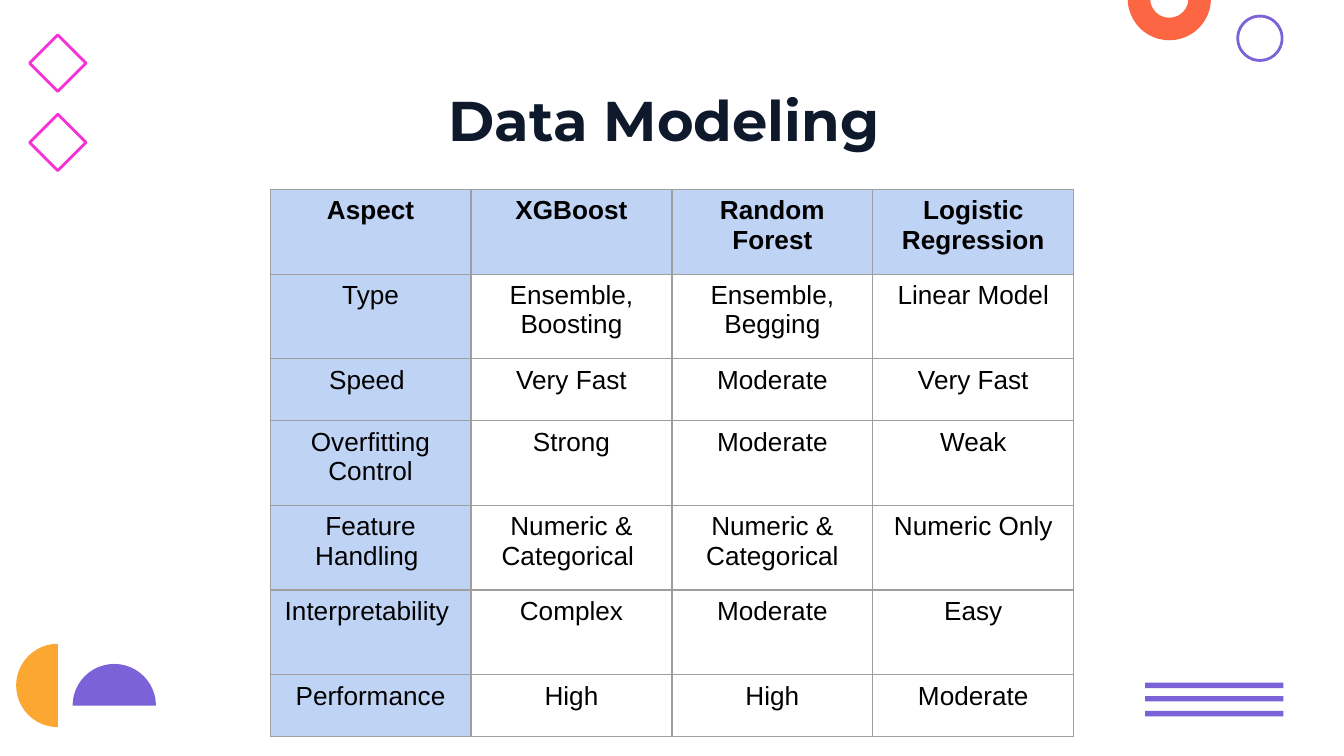
"""Build the Data Modeling slide comparing three models."""
from lxml import etree
from pptx import Presentation
from pptx.dml.color import RGBColor
from pptx.enum.shapes import MSO_SHAPE
from pptx.enum.text import MSO_ANCHOR, PP_ALIGN
from pptx.oxml.ns import qn
from pptx.util import Inches, Pt

CENTER = PP_ALIGN.CENTER
MIDDLE = MSO_ANCHOR.MIDDLE
CHORD, DIAMOND, DONUT = MSO_SHAPE.CHORD, MSO_SHAPE.DIAMOND, MSO_SHAPE.DONUT
OVAL, RECTANGLE = MSO_SHAPE.OVAL, MSO_SHAPE.RECTANGLE
COLORS = {
    "purple": "7B62D6", "amber": "FDA733", "magenta": "F632D4", "orange": "FD6643",
    "navy": "0E192C", "black": "000000", "header": "BFD3F4", "border": "9E9E9E",
}
ROWS = [
    ["Aspect", "XGBoost", "Random Forest", "Logistic Regression"],
    ["Type", "Ensemble, Boosting", "Ensemble, Begging", "Linear Model"],
    ["Speed ", "Very Fast", "Moderate", "Very Fast"],
    ["Overfitting Control", "Strong", "Moderate", "Weak"],
    ["Feature Handling ", "Numeric & Categorical ", "Numeric & Categorical", "Numeric Only"],
    ["Interpretability ", "Complex", "Moderate", "Easy"],
    ["Performance", "High", "High", "Moderate"],
]
ROW_HEIGHTS = [0.63, 0.63, 0.46, 0.63, 0.63, 0.63, 0.46]


def rgb(name):
    return RGBColor.from_string(COLORS[name])


def format_text(p, font, size, color, bold):
    p.alignment = CENTER
    for r in p.runs:
        r.font.name = font
        r.font.size = Pt(size)
        r.font.bold = bold
        r.font.color.rgb = rgb(color)


prs = Presentation()
prs.slide_width = Inches(10)
prs.slide_height = prs.slide_width * 9 // 16
s = prs.slides.add_slide(prs.slide_layouts[5])

filled = [
    (CHORD, 0.54, 4.94, 0.62, 0.62, "purple", [108, 0]),
    (CHORD, 0.12, 4.79, 0.62, 0.62, "amber", [54, 162]),
    (DONUT, 8.39, -0.32, 0.62, 0.62, "orange", [0.27]),
]
filled += [(RECTANGLE, 8.52, y, 1.03, 0.04, "purple", []) for y in (5.08, 5.18, 5.29)]
for kind, x, y, w, h, color, adjustments in filled:
    sp = s.shapes.add_shape(kind, Inches(x), Inches(y), Inches(w), Inches(h))
    for i, value in enumerate(adjustments):
        sp.adjustments[i] = value
    sp.shadow.inherit = False
    sp.fill.solid()
    sp.fill.fore_color.rgb = rgb(color)
    sp.line.fill.background()

outlined = [
    (DIAMOND, 0.22, 0.85, 0.42, "magenta"),
    (DIAMOND, 0.22, 0.26, 0.42, "magenta"),
    (OVAL, 9.21, 0.12, 0.33, "purple"),
]
for kind, x, y, size, color in outlined:
    sp = s.shapes.add_shape(kind, Inches(x), Inches(y), Inches(size), Inches(size))
    sp.shadow.inherit = False
    sp.fill.background()
    sp.line.color.rgb = rgb(color)
    sp.line.width = Pt(1.5)

title = s.shapes.title
title.left, title.top = Inches(1.51), Inches(0.53)
title.width, title.height = Inches(6.98), Inches(0.71)
tf = title.text_frame
tf.text = "Data Modeling "
tf.vertical_anchor = MIDDLE
tf.margin_left = tf.margin_right = tf.margin_top = tf.margin_bottom = Inches(0.1)
format_text(tf.paragraphs[0], "Montserrat", 30, "navy", True)

table = s.shapes.add_table(
    len(ROWS), len(ROWS[0]), Inches(2.01), Inches(1.41), Inches(5.98), Inches(4.06)
).table
table.first_row = table.horz_banding = False
for row, height in zip(table.rows, ROW_HEIGHTS):
    row.height = Inches(height)
for i, values in enumerate(ROWS):
    for j, value in enumerate(values):
        cell = table.cell(i, j)
        cell.text_frame.text = value
        format_text(cell.text_frame.paragraphs[0], "Arial", 14, "black", i == 0)
        tc_pr = cell._tc.get_or_add_tcPr()
        for side in ("a:lnL", "a:lnR", "a:lnT", "a:lnB"):
            ln = etree.SubElement(tc_pr, qn(side), w=str(Pt(0.75)))
            fill = etree.SubElement(ln, qn("a:solidFill"))
            etree.SubElement(fill, qn("a:srgbClr"), val=COLORS["border"])
        if i == 0 or j == 0:
            cell.fill.solid()
            cell.fill.fore_color.rgb = rgb("header")
        else:
            cell.fill.background()

prs.save("out.pptx")
